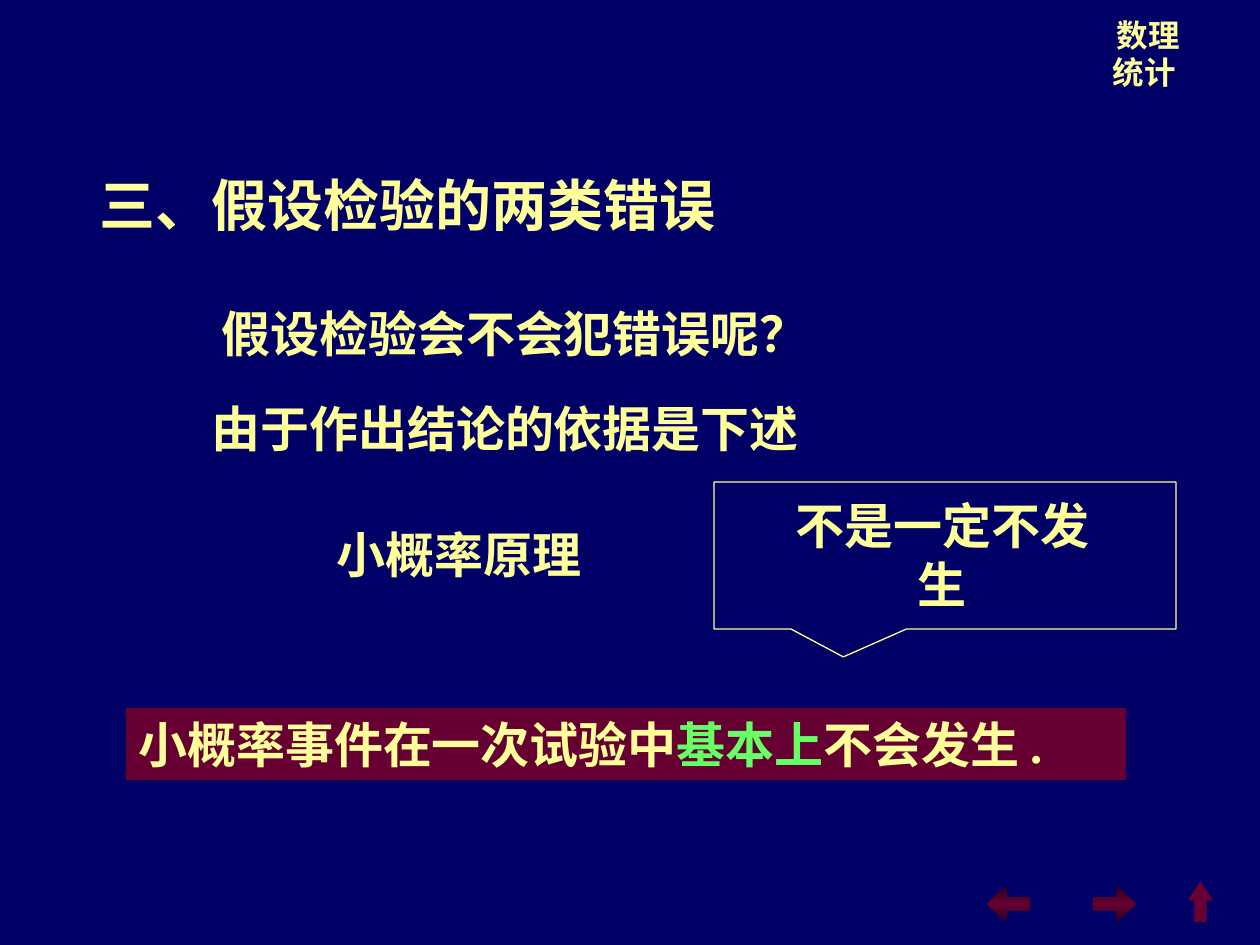
from copy import deepcopy

from pptx import Presentation
from pptx.dml.color import RGBColor
from pptx.enum.shapes import MSO_SHAPE
from pptx.enum.text import MSO_ANCHOR, PP_ALIGN
from pptx.oxml.ns import qn
from pptx.util import Pt

NAVY = RGBColor(0x00, 0x00, 0x66)
YELLOW = RGBColor(0xFF, 0xFF, 0x99)
GREEN = RGBColor(0x66, 0xFF, 0x66)
MAROON = RGBColor(0x66, 0x00, 0x33)
DARK_MAROON = RGBColor(0x2F, 0x00, 0x18)
FONT = "Times New Roman"
EMU_PER_PX = 914400 / 126


def px(length):
    return round(length * EMU_PER_PX)


def write(shape, runs, size=28, align=PP_ALIGN.CENTER, anchor=MSO_ANCHOR.MIDDLE, wrap=False):
    """Fill a shape with one paragraph made of (text, colour) runs."""
    frame = shape.text_frame
    frame.word_wrap = wrap
    frame.vertical_anchor = anchor
    para = frame.paragraphs[0]
    para.alignment = align
    for text, colour in runs:
        span = para.add_run()
        span.text = text
        span.font.name = FONT
        span.font.size = Pt(size)
        span.font.bold = True
        span.font.color.rgb = colour


def add_label(page, box, text, **style):
    label = page.shapes.add_textbox(*map(px, box))
    write(label, [(text, YELLOW)], **style)


def add_solid(page, kind, box, colour, adjustments=()):
    shape = page.shapes.add_shape(kind, *map(px, box))
    shape.shadow.inherit = False
    shape.fill.solid()
    shape.fill.fore_color.rgb = colour
    shape.line.fill.background()
    for index, value in enumerate(adjustments):
        shape.adjustments[index] = value
    return shape


def shade_edges(shape):
    """Vertical gradient: dark edges, maroon in the middle."""
    fill = shape.fill
    fill.gradient()
    fill.gradient_angle = 270
    stop_list = shape._element.spPr.find(".//" + qn("a:gsLst"))
    stop_list.insert(1, deepcopy(stop_list[0]))
    colours = (DARK_MAROON, MAROON, DARK_MAROON)
    for stop, position, colour in zip(fill.gradient_stops, (0, 0.5, 1), colours):
        stop.position = position
        stop.color.rgb = colour


def add_navigation(page, box):
    left, top, width, height = box
    # Back and forward arrows
    for kind, offset in ((MSO_SHAPE.LEFT_ARROW, 0), (MSO_SHAPE.RIGHT_ARROW, 106)):
        arrow_box = (left + offset, top + 5, 43, height - 5)
        shade_edges(add_solid(page, kind, arrow_box, MAROON, (0.36, 0.53)))
    # Up arrow at the right end
    add_solid(page, MSO_SHAPE.UP_ARROW, (left + width - 25, top, 25, height), MAROON, (0.5, 0.77))


def add_statements(page, box):
    left, top, width, height = box
    add_label(page, (left + 10, top, width - 10, height), "假设检验会不会犯错误呢？")
    add_label(page, (left, top + 95, width - 10, height), "由于作出结论的依据是下述")
    add_label(page, (left + 125, top + 221, 270, height), "小概率原理")


def add_principle(page, box):
    banner = add_solid(page, MSO_SHAPE.RECTANGLE, box, MAROON)
    runs = [("小概率事件在一次试验中", YELLOW), ("基本上", GREEN), ("不会发生 .", YELLOW)]
    write(banner, runs, align=PP_ALIGN.LEFT, wrap=True)


def add_callout(page, box):
    left, top, width, height = box
    callout = add_solid(page, MSO_SHAPE.RECTANGULAR_CALLOUT, box, NAVY, (-0.22, 0.69))
    callout.line.color.rgb = YELLOW
    callout.line.width = Pt(0.75)
    add_label(page, (left + 45, top + 36, width - 95, 72), "不是一定不发生")


def build_page(deck):
    page = deck.slides.add_slide(deck.slide_layouts[6])
    page.background.fill.solid()
    page.background.fill.fore_color.rgb = NAVY

    add_label(page, (1094, 34, 108, 39), "数理统计 ", size=18)
    add_navigation(page, (987, 881, 226, 41))
    add_statements(page, (199, 297, 622, 72))
    add_principle(page, (126, 708, 1000, 72))
    add_callout(page, (714, 482, 462, 147))
    add_label(page, (87, 164, 680, 81), "三、假设检验的两类错误",
              size=32, align=PP_ALIGN.LEFT, anchor=MSO_ANCHOR.TOP)


def main():
    deck = Presentation()
    deck.slide_width, deck.slide_height = px(1260), px(945)
    build_page(deck)
    deck.save("out.pptx")


if __name__ == "__main__":
    main()
